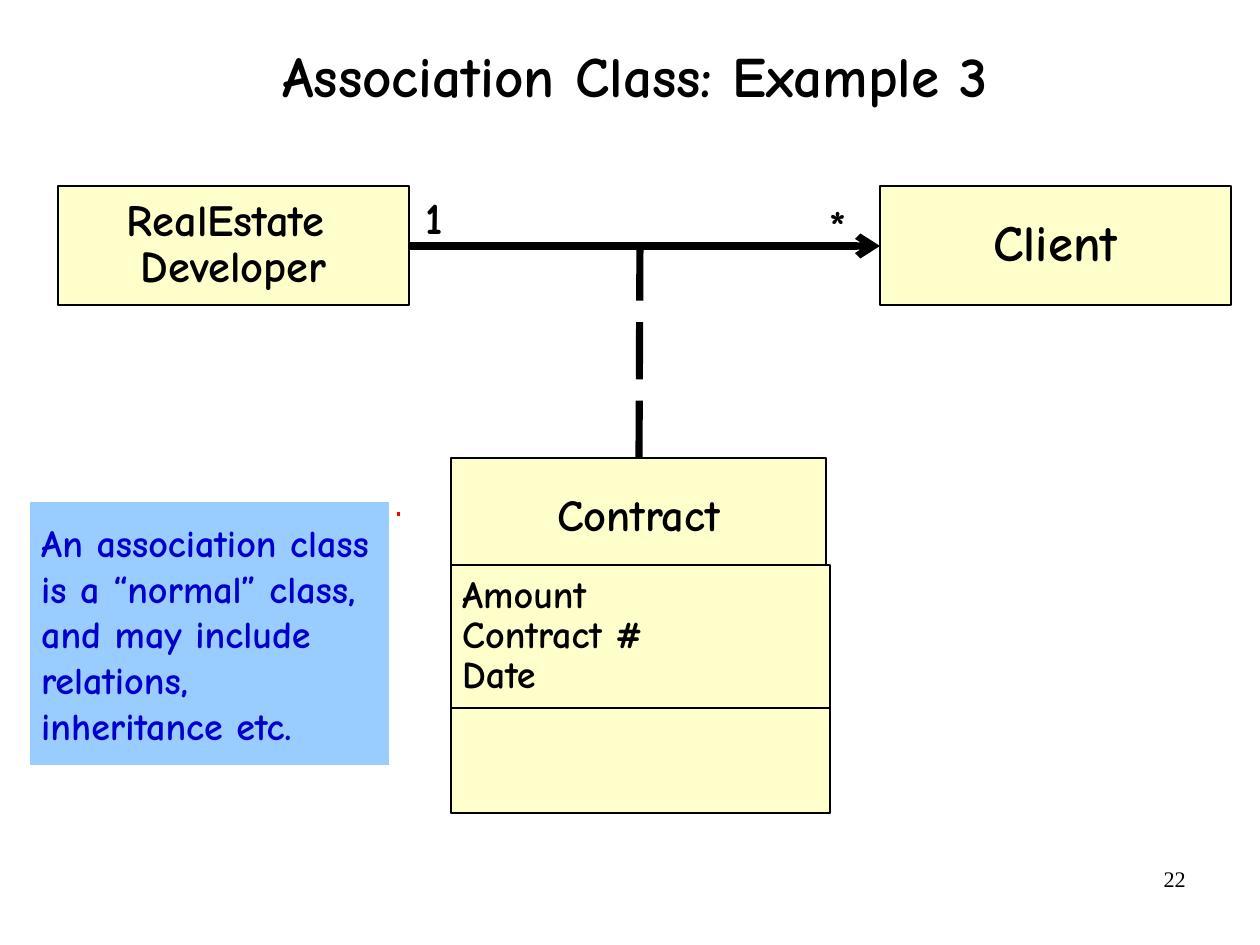
from dataclasses import dataclass

from lxml import etree
from pptx import Presentation
from pptx import util as u
from pptx.dml.color import RGBColor
from pptx.enum import dml, shapes, text
from pptx.oxml.ns import qn

PX = 8000  # EMU per px: 1260 by 945 px is 28 by 21 cm
LEFT, CENTER, RIGHT = text.PP_ALIGN.LEFT, text.PP_ALIGN.CENTER, text.PP_ALIGN.RIGHT
TOP, MIDDLE = text.MSO_ANCHOR.TOP, text.MSO_ANCHOR.MIDDLE


@dataclass(frozen=True)
class Theme:
    font: str = "Comic Neue"
    number_font: str = "Times New Roman"
    ink: RGBColor = RGBColor(0, 0, 0)
    class_fill: RGBColor = RGBColor(0xFF, 0xFF, 0xCC)
    note_fill: RGBColor = RGBColor(0x99, 0xCC, 0xFF)
    note_ink: RGBColor = RGBColor(0, 0, 0xCC)
    note_line: RGBColor = RGBColor(0xFF, 0, 0)
    title: int = 36
    large: int = 32
    name: int = 28
    body: int = 24
    number: int = 14
    tight: float = 0.87
    title_spacing: float = 0.94


THEME = Theme()


@dataclass(frozen=True)
class Box:
    left: int
    top: int
    width: int
    height: int

    def emu(self) -> tuple[int, int, int, int]:
        return self.left * PX, self.top * PX, self.width * PX, self.height * PX


@dataclass(frozen=True)
class Style:
    size: int
    align: text.PP_ALIGN = LEFT
    anchor: text.MSO_ANCHOR = MIDDLE
    spacing: float = THEME.tight
    color: RGBColor = THEME.ink
    font: str = THEME.font
    bold: bool = True


@dataclass(frozen=True)
class Compartment:
    box: Box
    lines: tuple[str, ...]
    style: Style


@dataclass(frozen=True)
class Label:
    box: Box
    words: str
    style: Style


@dataclass(frozen=True)
class Link:
    start: tuple[int, int]
    end: tuple[int, int]
    dashed: bool = False
    arrow: bool = False


CLASS_NAME = Style(THEME.name, CENTER)
MULTIPLICITY = Style(THEME.name, anchor=TOP)

COMPARTMENTS = (
    Compartment(Box(880, 186, 351, 119), ("Client",), Style(THEME.large, CENTER)),
    Compartment(Box(58, 186, 351, 119), ("RealEstate ", "Developer"), CLASS_NAME),
    Compartment(Box(451, 458, 375, 119), ("Contract",), CLASS_NAME),
    Compartment(Box(451, 565, 379, 143), ("Amount", "Contract #", "Date"), Style(THEME.body)),
    Compartment(Box(451, 708, 379, 105), (), Style(THEME.body)),
)
LINKS = (
    Link((409, 246), (880, 246), arrow=True),
    Link((639, 458), (640, 238), dashed=True),
)
LABELS = (
    Label(Box(414, 192, 50, 58), "1", MULTIPLICITY),
    Label(Box(818, 200, 47, 58), "*", MULTIPLICITY),
    Label(Box(903, 860, 294, 65), "22",
          Style(THEME.number, RIGHT, TOP, 1.0, font=THEME.number_font, bold=False)),
)
NOTE = Label(
    Box(30, 502, 359, 263),
    "An association class is a “normal” class, and may include relations, inheritance etc.",
    Style(THEME.body, spacing=1.0, color=THEME.note_ink),
)
NOTE_POINTER = (0.054, 1.027, 0.04, 1.027)


def write(frame, lines: tuple[str, ...], style: Style) -> None:
    frame.word_wrap = True
    frame.vertical_anchor = style.anchor
    for index, line in enumerate(lines):
        paragraph = frame.add_paragraph() if index else frame.paragraphs[0]
        paragraph.alignment = style.align
        paragraph.line_spacing = style.spacing
        run = paragraph.add_run()
        run.text = line
        run.font.name = style.font
        run.font.size = u.Pt(style.size)
        run.font.bold = style.bold
        run.font.color.rgb = style.color


def add_title(slide, words: str) -> None:
    title = slide.shapes.title
    title.left, title.top, title.width, title.height = Box(87, 0, 1076, 157).emu()
    frame = title.text_frame
    frame.margin_left = frame.margin_right = frame.margin_top = frame.margin_bottom = 0
    write(frame, (words,), Style(THEME.title, CENTER, spacing=THEME.title_spacing))


def add_filled(slide, kind: shapes.MSO_SHAPE, box: Box, fill: RGBColor,
               line: RGBColor, weight: float):
    shape = slide.shapes.add_shape(kind, *box.emu())
    shape.shadow.inherit = False
    shape.fill.solid()
    shape.fill.fore_color.rgb = fill
    shape.line.color.rgb = line
    shape.line.width = u.Pt(weight)
    return shape


def add_compartment(slide, part: Compartment) -> None:
    shape = add_filled(slide, shapes.MSO_SHAPE.RECTANGLE, part.box,
                       THEME.class_fill, THEME.ink, 1)
    write(shape.text_frame, part.lines, part.style)


def add_link(slide, link: Link) -> None:
    ends = (value * PX for value in link.start + link.end)
    connector = slide.shapes.add_connector(shapes.MSO_CONNECTOR.STRAIGHT, *ends)
    connector.line.color.rgb = THEME.ink
    connector.line.width = u.Pt(4.5)
    if link.dashed:
        connector.line.dash_style = dml.MSO_LINE.LONG_DASH
    if link.arrow:
        etree.SubElement(connector.line._get_or_add_ln(), qn("a:tailEnd"), type="arrow")
    etree.SubElement(connector._element.spPr, qn("a:effectLst"))


def add_label(slide, label: Label) -> None:
    write(slide.shapes.add_textbox(*label.box.emu()).text_frame, (label.words,), label.style)


def add_note(slide, note: Label) -> None:
    callout = add_filled(slide, shapes.MSO_SHAPE.LINE_CALLOUT_1_NO_BORDER, note.box,
                         THEME.note_fill, THEME.note_line, 2.25)
    for index, value in enumerate(NOTE_POINTER):
        callout.adjustments[index] = value
    write(callout.text_frame, (note.words,), note.style)


def main() -> None:
    deck = Presentation()
    deck.slide_width, deck.slide_height = 1260 * PX, 945 * PX
    slide = deck.slides.add_slide(deck.slide_layouts[5])
    add_title(slide, " Association Class: Example 3")
    for part in COMPARTMENTS:
        add_compartment(slide, part)
    for link in LINKS:
        add_link(slide, link)
    for label in LABELS:
        add_label(slide, label)
    add_note(slide, NOTE)
    deck.save("out.pptx")


if __name__ == "__main__":
    main()
